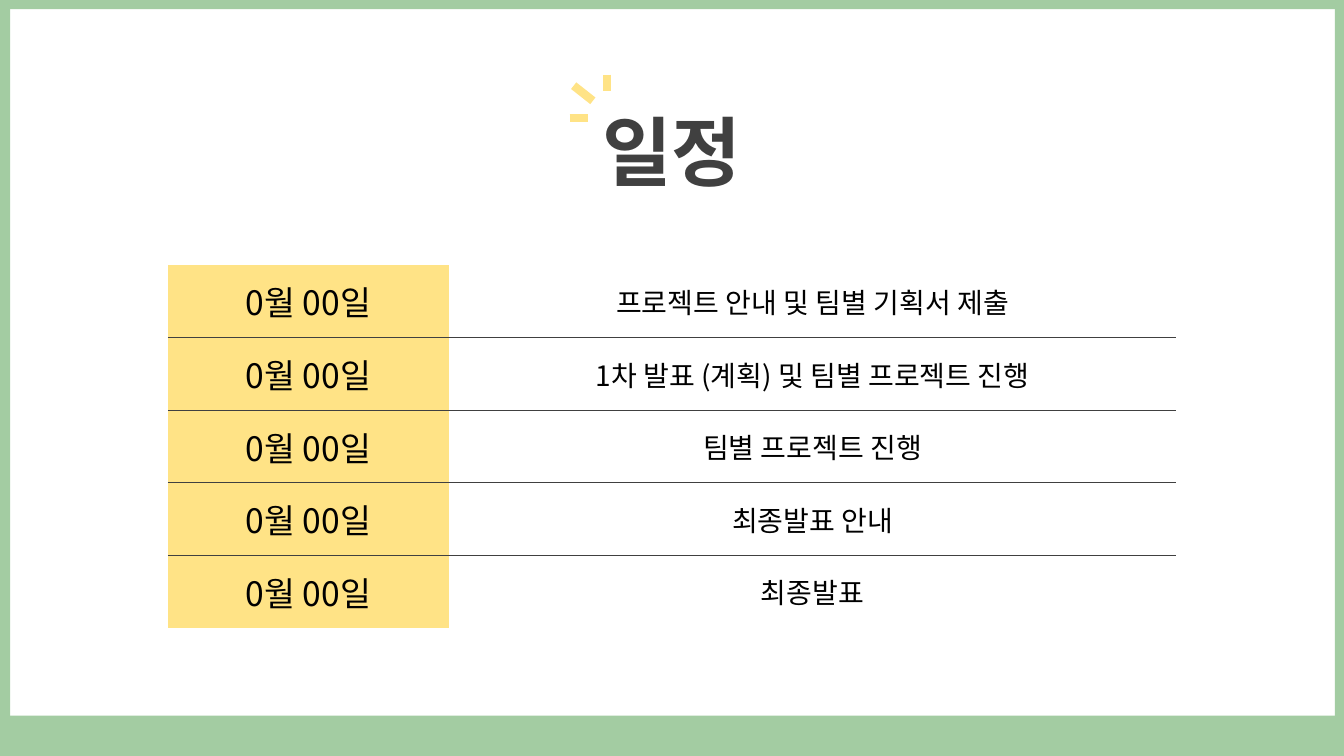
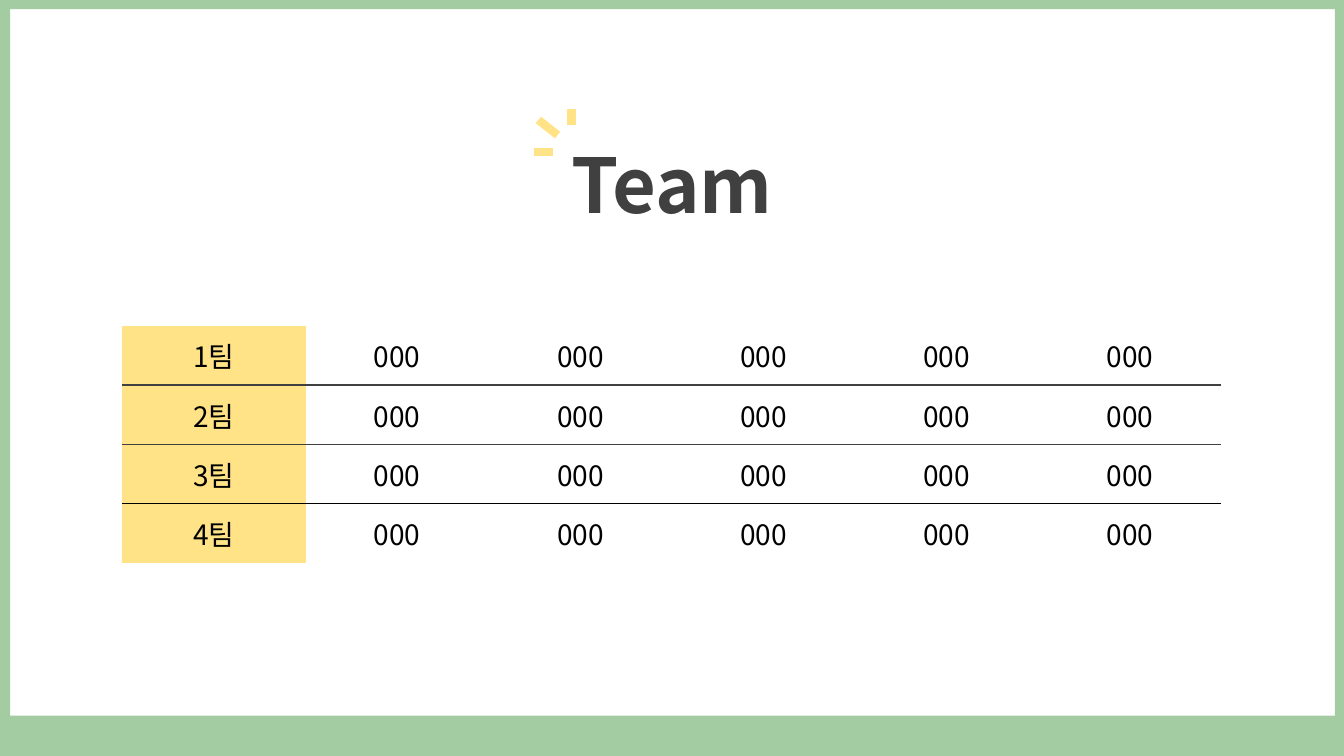
from lxml import etree
from pptx import Presentation
from pptx.dml.color import RGBColor
from pptx.enum.shapes import MSO_CONNECTOR, MSO_SHAPE
from pptx.enum.text import MSO_ANCHOR, MSO_AUTO_SIZE, PP_ALIGN
from pptx.oxml.ns import qn
from pptx.util import Inches, Pt

RECTANGLE = MSO_SHAPE.RECTANGLE
STRAIGHT = MSO_CONNECTOR.STRAIGHT
MIDDLE = MSO_ANCHOR.MIDDLE
CENTER = PP_ALIGN.CENTER
FIT_SHAPE = MSO_AUTO_SIZE.SHAPE_TO_FIT_TEXT

WIDTH, HEIGHT = 13.33, 7.5
FONT = "Noto Sans CJK KR"
PLAIN_TABLE = "{2D5ABB26-0587-4C30-8999-92F81FD0307C}"
COLORS = {"green": "A3CCA2", "yellow": "FFE386", "gray": "404040", "black": "000000"}

TITLE_HEIGHT = 1.01
BANDS = [
    (0, 7.1, WIDTH, HEIGHT - 7.1),
    (0, 0, WIDTH, 0.09),
    (0, 0, 0.1, HEIGHT),
    (WIDTH - 0.09, 0, 0.09, HEIGHT),
]
SPARKS = [
    (0, 0.43, 0.18, 0.43),
    (0.37, 0, 0.37, 0.16),
    (0.04, 0.11, 0.23, 0.26),
]
GRAY_RULE = ("gray", 1)
BLACK_RULE = ("black", 0.75)

PAGES = [
    {
        "title": "일정",
        "title_top": 0.99,
        "title_width": 1.66,
        "spark_origin": (5.65, 0.74),
        "table_top": 2.63,
        "columns": [2.79, 7.21],
        "row_height": 0.72,
        "sizes": [24, 20],
        "margins": (0.15, 0.05),
        "rules": [GRAY_RULE] * 4,
        "rows": [
            ["0월 00일", task]
            for task in [
                "프로젝트 안내 및 팀별 기획서 제출",
                "1차 발표 (계획) 및 팀별 프로젝트 진행",
                "팀별 프로젝트 진행",
                "최종발표 안내",
                "최종발표",
            ]
        ],
    },
    {
        "title": "Team",
        "title_top": 1.32,
        "title_width": 2.25,
        "spark_origin": (5.3, 1.08),
        "table_top": 3.23,
        "columns": [10.9 / 6] * 6,
        "row_height": 0.59,
        "sizes": [20] * 6,
        "margins": (0.12, 0.04),
        "rules": [GRAY_RULE, GRAY_RULE, BLACK_RULE],
        "rows": [[f"{team}팀"] + ["000"] * 5 for team in range(1, 5)],
    },
]


def write(text_frame, text, size, color, bold=False):
    paragraph = text_frame.paragraphs[0]
    paragraph.text = text
    paragraph.alignment = CENTER
    paragraph.font.name = FONT
    paragraph.font.size = Pt(size)
    paragraph.font.bold = bold
    paragraph.font.color.rgb = RGBColor.from_string(COLORS[color])
    properties = paragraph._p.xpath("a:pPr/a:defRPr")[0]
    etree.SubElement(properties, qn("a:ea"), typeface=FONT)


def draw_border(cell, side, color, width):
    properties = cell._tc.get_or_add_tcPr()
    border = etree.Element(qn(f"a:{side}"), w=str(Pt(width)))
    fill = etree.SubElement(border, qn("a:solidFill"))
    etree.SubElement(fill, qn("a:srgbClr"), val=COLORS[color])
    properties.insert(len(properties.findall(qn("a:lnT"))), border)


presentation = Presentation()
presentation.slide_width = Inches(WIDTH)
presentation.slide_height = Inches(HEIGHT)
layout = presentation.slide_layouts[6]
for placeholder in list(layout.placeholders):
    placeholder.element.getparent().remove(placeholder.element)
slides = [presentation.slides.add_slide(layout) for page in PAGES]

for band in BANDS:
    shape = slides[0].shapes.add_shape(RECTANGLE, *map(Inches, band))
    shape.shadow.inherit = False
    shape.fill.solid()
    shape.fill.fore_color.rgb = RGBColor.from_string(COLORS["green"])
    shape.line.fill.background()
    layout.shapes.element.append(shape.element)

for slide, page in zip(slides, PAGES):
    title_left = (WIDTH - page["title_width"]) / 2
    title = slide.shapes.add_textbox(
        Inches(title_left), Inches(page["title_top"]),
        Inches(page["title_width"]), Inches(TITLE_HEIGHT),
    )
    title.text_frame.word_wrap = False
    title.text_frame.auto_size = FIT_SHAPE
    write(title.text_frame, page["title"], 54, "gray", bold=True)

    rows, columns = page["rows"], page["columns"]
    table_width = sum(columns)
    frame = slide.shapes.add_table(
        len(rows), len(columns),
        Inches((WIDTH - table_width) / 2), Inches(page["table_top"]),
        Inches(table_width), Inches(page["row_height"] * len(rows)),
    )
    table = frame.table
    table.first_row = False
    table.horz_banding = False
    frame.element.xpath(".//a:tableStyleId")[0].text = PLAIN_TABLE
    for column, width in zip(table.columns, columns):
        column.width = Inches(width)
    side_margin, end_margin = map(Inches, page["margins"])
    for row_index, row in enumerate(rows):
        table.rows[row_index].height = Inches(page["row_height"])
        for column_index, text in enumerate(row):
            cell = table.cell(row_index, column_index)
            cell.vertical_anchor = MIDDLE
            cell.margin_left = cell.margin_right = side_margin
            cell.margin_top = cell.margin_bottom = end_margin
            if column_index == 0:
                cell.fill.solid()
                cell.fill.fore_color.rgb = RGBColor.from_string(COLORS["yellow"])
            else:
                cell.fill.background()
            write(cell.text_frame, text, page["sizes"][column_index], "black")
            if row_index > 0:
                draw_border(cell, "lnT", *page["rules"][row_index - 1])
            if row_index < len(rows) - 1:
                draw_border(cell, "lnB", *page["rules"][row_index])

    left, top = page["spark_origin"]
    for start_x, start_y, end_x, end_y in SPARKS:
        spark = slide.shapes.add_connector(
            STRAIGHT,
            Inches(left + start_x), Inches(top + start_y),
            Inches(left + end_x), Inches(top + end_y),
        )
        spark.line.color.rgb = RGBColor.from_string(COLORS["yellow"])
        spark.line.width = Pt(6)
        etree.SubElement(spark.element.spPr, qn("a:effectLst"))

presentation.save("out.pptx")
